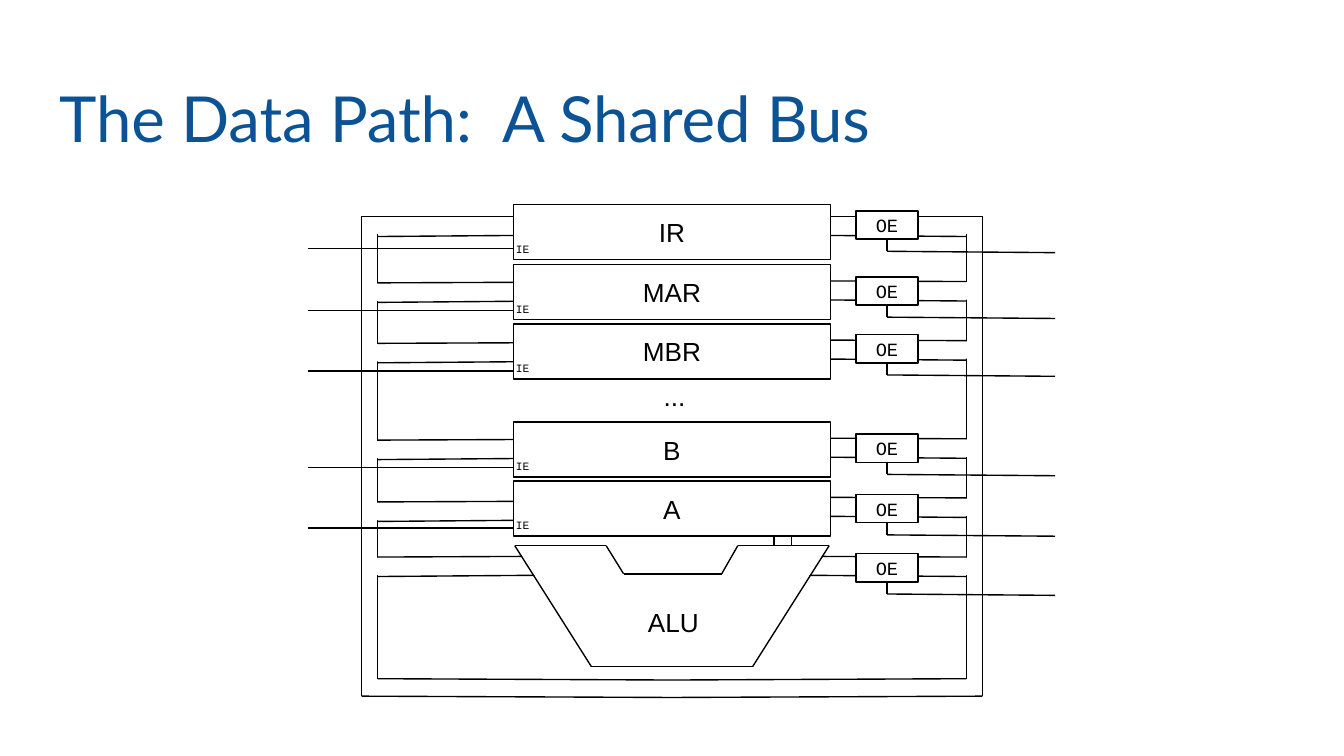
from itertools import pairwise

from lxml.etree import SubElement
from pptx import Presentation
from pptx.dml.color import RGBColor
from pptx.enum.shapes import MSO_CONNECTOR, MSO_SHAPE
from pptx.enum.text import MSO_ANCHOR, MSO_AUTO_SIZE, PP_ALIGN
from pptx.oxml.ns import qn
from pptx.util import Inches, Pt

BLACK = RGBColor(0x00, 0x00, 0x00)
WHITE = RGBColor(0xFF, 0xFF, 0xFF)
BLUE = RGBColor(0x0B, 0x53, 0x94)

# Content
TITLE = "The Data Path:  A Shared Bus"
REGISTERS = [  # name, top, height of the input enable line
    ("IR", 1.52, 1.85),
    ("MAR", 1.97, 2.31),
    ("MBR", 2.41, 2.76),
    ("B", 3.14, 3.48),
    ("A", 3.58, 3.93),
]
GATE_TOPS = [1.57, 2.06, 2.49, 3.23, 3.68, 4.12]
LEFT_BRANCHES = [2.10, 2.55, 3.27, 3.73, 4.14]
RIGHT_BRANCHES = [2.09, 2.53, 3.26, 3.70, 4.14]
ALU_OUTLINE = [(3.83, 4.06), (4.51, 4.06), (4.64, 4.27), (5.37, 4.27),
               (5.49, 4.06), (6.17, 4.06), (5.60, 4.96), (4.40, 4.96),
               (3.83, 4.06)]

# Layout
SLIDE_WIDTH = 10
REGISTER_LEFT, REGISTER_WIDTH, REGISTER_HEIGHT = 3.82, 2.36, 0.41
GATE_LEFT, GATE_WIDTH, GATE_HEIGHT = 6.37, 0.46, 0.21
OUTER_BUS, INNER_BUS = 2.69, 2.81
BUS_TOP, BUS_BOTTOM = 1.61, 5.19
BUS_GAP = 0.14
SLOPE = 0.01

# Text formats
TITLE_FONT = {"name": "Lato", "size": Pt(34), "bold": False}
LABEL_FONT = {"name": "Arial", "size": Pt(14)}
GATE_FONT = {"name": "Courier New", "size": Pt(10)}
ENABLE_FONT = {"name": "Courier New", "size": Pt(6)}
FRAME = {"word_wrap": True, "auto_size": MSO_AUTO_SIZE.NONE,
         "margin_left": Inches(0.1), "margin_right": Inches(0.1),
         "margin_top": Inches(0.1), "margin_bottom": Inches(0.1)}

deck = Presentation()
deck.slide_width = Inches(SLIDE_WIDTH)
deck.slide_height = Inches(SLIDE_WIDTH * 9 / 16)
page = deck.slides.add_slide(deck.slide_layouts[5])


def write(shape, text, font, color=BLACK, align=PP_ALIGN.CENTER, anchor=MSO_ANCHOR.MIDDLE):
    frame = shape.text_frame
    for key, value in FRAME.items():
        setattr(frame, key, value)
    frame.vertical_anchor = anchor
    para = frame.paragraphs[0]
    para.alignment = align
    span = para.add_run()
    span.text = text
    for key, value in font.items():
        setattr(span.font, key, value)
    span.font.color.rgb = color


def add_line(x1, y1, x2, y2):
    line = page.shapes.add_connector(
        MSO_CONNECTOR.STRAIGHT, Inches(x1), Inches(y1), Inches(x2), Inches(y2))
    line.line.color.rgb = BLACK
    line.line.width = Pt(0.75)
    SubElement(line._element.spPr, qn("a:effectLst"))


def add_box(left, top, width, height, outlined=True):
    box = page.shapes.add_shape(
        MSO_SHAPE.RECTANGLE, Inches(left), Inches(top), Inches(width), Inches(height))
    box.shadow.inherit = False
    box.fill.solid()
    box.fill.fore_color.rgb = WHITE
    if outlined:
        box.line.color.rgb = BLACK
        box.line.width = Pt(0.75)
    else:
        box.line.fill.background()
    return box


def add_label(left, top, width, height, text, font, align=PP_ALIGN.LEFT):
    box = page.shapes.add_textbox(
        Inches(left), Inches(top), Inches(width), Inches(height))
    write(box, text, font, align=align, anchor=MSO_ANCHOR.TOP)


def add_bus_side(branches, mirrored):
    """One half of the bus, given for the left and mirrored for the right."""
    def across(x):
        return SLIDE_WIDTH - x if mirrored else x

    def bus_line(x1, y1, x2, y2):
        add_line(across(x1), y1, across(x2), y2)

    def gap(left, top, height, angle=0):
        width = 0.46
        box = add_box(across(left + width) if mirrored else left,
                      top, width, height, outlined=False)
        box.rotation = -angle if mirrored else angle

    for x, inset in ((OUTER_BUS, 0), (INNER_BUS, BUS_GAP - 0.01)):
        bus_line(x, BUS_TOP + inset, x, BUS_BOTTOM - inset - SLOPE)
        bus_line(5, BUS_BOTTOM - inset, x, BUS_BOTTOM - inset - SLOPE)
    bus_line(3.94, BUS_TOP, OUTER_BUS, BUS_TOP)
    bus_line(4.07, BUS_TOP + BUS_GAP, INNER_BUS, BUS_TOP + BUS_GAP + SLOPE)
    # Each branch opens the inner wall of the bus
    for y in branches:
        gap(2.74, y + 0.01, 0.13)
        bus_line(3.98, y, INNER_BUS, y + SLOPE / 2)
        bus_line(4.07, y + BUS_GAP, INNER_BUS, y + BUS_GAP + SLOPE)
    # Branch ends inside the ALU
    gap(3.82, 4.24, 0.11, angle=57.5)


# Title
title = page.shapes.title
title.left, title.top = Inches(0.34), Inches(0.49)
title.width, title.height = Inches(9.32), Inches(0.63)
write(title, TITLE, TITLE_FONT, BLUE, PP_ALIGN.LEFT, MSO_ANCHOR.TOP)

# Shared bus
add_bus_side(LEFT_BRANCHES, mirrored=False)
add_bus_side(RIGHT_BRANCHES, mirrored=True)

# ALU, with its input from register A
for start, end in pairwise(ALU_OUTLINE):
    add_line(*start, *end)
add_label(4.65, 4.41, 0.72, 0.35, "ALU", LABEL_FONT, PP_ALIGN.CENTER)
for x in (5.76, 5.89):
    add_line(x, 3.93, x, 4.06)

# Registers with input enable lines
for name, top, enable in REGISTERS:
    write(add_box(REGISTER_LEFT, top, REGISTER_WIDTH, REGISTER_HEIGHT), name, LABEL_FONT)
    add_line(2.29, enable, REGISTER_LEFT, enable)
    add_label(3.74, top + 0.18, 0.34, 0.25, "IE", ENABLE_FONT)
add_label(4.84, 2.73, 0.44, 0.54, "...", LABEL_FONT)

# Output gates with output enable lines
for top in GATE_TOPS:
    center, control = GATE_LEFT + GATE_WIDTH / 2, top + 0.3
    write(add_box(GATE_LEFT, top, GATE_WIDTH, GATE_HEIGHT), "OE", GATE_FONT)
    add_line(center, control, center, top + GATE_HEIGHT)
    add_line(center, control, 7.85, control + SLOPE)

deck.save("out.pptx")
